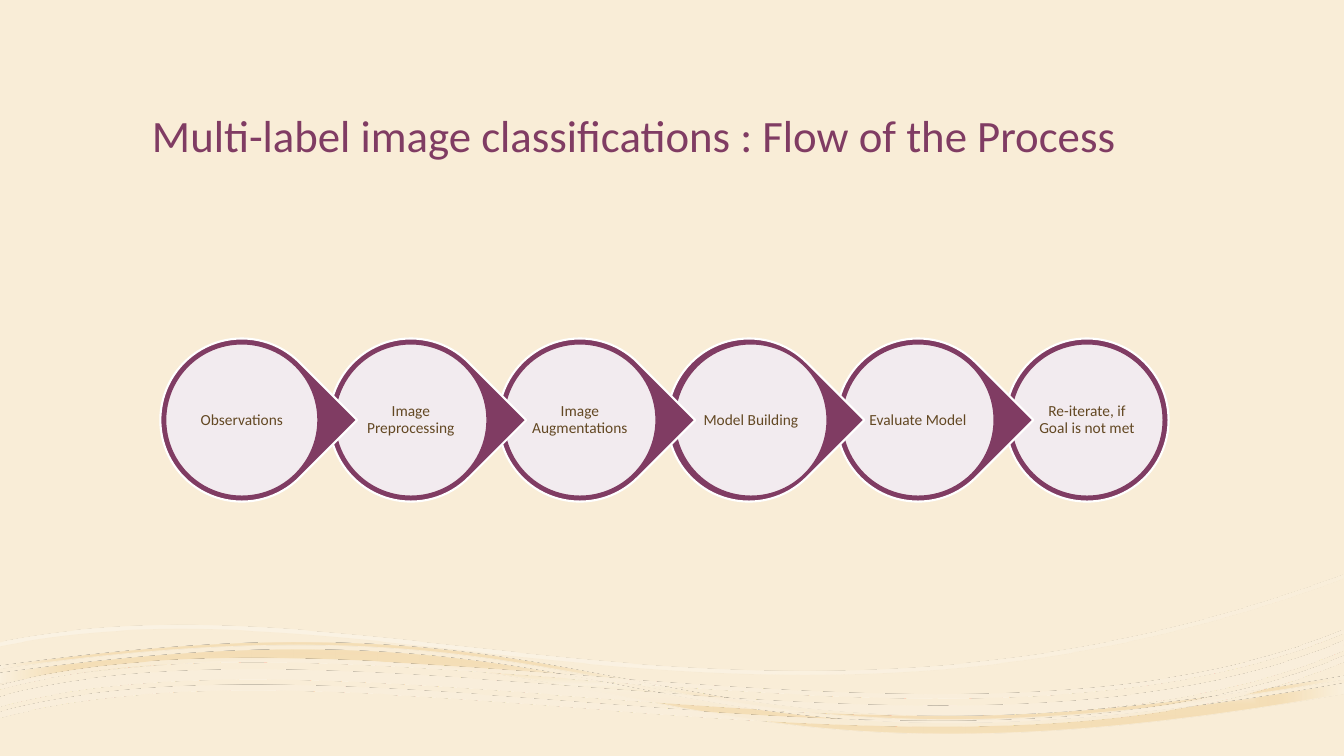
from dataclasses import dataclass
from math import cos, radians, sin

from lxml import etree
from pptx import Presentation
from pptx.dml.color import RGBColor
from pptx.enum.shapes import MSO_SHAPE
from pptx.enum.text import MSO_ANCHOR, MSO_AUTO_SIZE, PP_ALIGN
from pptx.oxml.ns import qn
from pptx.util import Cm, Pt

TEARDROP, ELLIPSE = MSO_SHAPE.TEAR, MSO_SHAPE.OVAL
LEFT, CENTER = PP_ALIGN.LEFT, PP_ALIGN.CENTER
MIDDLE, BOTTOM = MSO_ANCHOR.MIDDLE, MSO_ANCHOR.BOTTOM
NO_AUTOFIT = MSO_AUTO_SIZE.NONE

CREAM = RGBColor(0xF9, 0xED, 0xD7)
PALE_CREAM = RGBColor(0xFA, 0xF1, 0xDF)
LIGHT_CREAM = RGBColor(0xFA, 0xEF, 0xDC)
SAND = RGBColor(0xF4, 0xDE, 0xB7)
DEEP_SAND = RGBColor(0xF4, 0xDD, 0xB3)
WHITE = RGBColor(0xFF, 0xFF, 0xFF)
PLUM = RGBColor(0x80, 0x3C, 0x63)
BROWN = RGBColor(0x63, 0x48, 0x23)

# Lengths in centimetres
FIRST_LEFT, STEP_TOP, PITCH = 4.04, 8.53, 4.26
RING_SIZE, DISC_SIZE, LABEL_SIZE = 4.11, 3.84, 2.74
WAVE_TILT = 3.5

Point = tuple[float, float]


@dataclass(frozen=True)
class Step:
    label: str
    shift: float = 0


@dataclass(frozen=True)
class Stop:
    position: int
    color: RGBColor
    opacity: int = 100


@dataclass(frozen=True)
class Wave:
    """Bands between two Bezier edges, each band given by its vertical shifts."""
    box: tuple[float, float, float, float]
    upper: tuple[Point, ...]
    lower: tuple[Point, ...]
    bands: tuple[tuple[float, float], ...]
    stops: tuple[Stop, ...]
    direction: str


STEPS = (
    Step("Observations"),
    Step("Image Preprocessing"),
    Step("Image Augmentations"),
    Step("Model Building", 0.05),
    Step("Evaluate Model"),
    Step("Re-iterate, if Goal is not met"),
)

HIGH_EDGE = ((0, 16.18), (9.47, 14.2), (19.15, 19.91), (33.86, 14.48))
LOW_EDGE = ((0, 17.55), (8.86, 15.14), (24.26, 20.17), (33.86, 16.15))

WAVES = (
    Wave(
        (0.03, 15.54, 33.81, 3.43),
        ((0, 16.97), (3.15, 16.54), (5.64, 16.36), (7.77, 16.38),
         (17.02, 16.43), (18.75, 19.86), (33.86, 17.22)),
        ((0, 17.22), (16.94, 14.81), (15.29, 20.73), (33.86, 17.48)),
        ((0, 0), (-0.18, -0.36)),
        (Stop(0, PALE_CREAM, 90), Stop(18, SAND), Stop(37, DEEP_SAND, 90),
         Stop(100, PALE_CREAM)),
        '<a:path path="shape"><a:fillToRect l="50000" t="50000" r="50000" b="50000"/></a:path>',
    ),
    Wave(
        (0.08, 14.94, 33.91, 4.34), HIGH_EDGE, HIGH_EDGE, ((0, 0.1),),
        (Stop(36, WHITE, 30), Stop(100, CREAM, 48)),
        '<a:lin ang="2700000" scaled="0"/>',
    ),
    Wave(
        (-0.03, 15.88, 33.93, 2.92), LOW_EDGE, LOW_EDGE,
        ((0.38, 0.53), (0, 0.25), (-0.28, -0.18)),
        (Stop(36, WHITE, 47), Stop(100, LIGHT_CREAM, 82)),
        '<a:path path="rect"><a:fillToRect l="100000" t="100000"/></a:path>',
    ),
)


def level_edge(wave: Wave, edge: tuple[Point, ...], shift: float) -> list[Point]:
    """Edge points moved down by shift and turned into the untilted frame of the wave."""
    left, top, width, height = wave.box
    center_x, center_y = left + width / 2, top + height / 2
    cosine, sine = cos(radians(WAVE_TILT)), sin(radians(WAVE_TILT))
    points = []
    for x, y in edge:
        dx, dy = x - center_x, y + shift - center_y
        points.append((Cm(center_x + dx * cosine - dy * sine),
                       Cm(center_y + dx * sine + dy * cosine)))
    return points


def bend_outline(ribbon, wave: Wave) -> None:
    """Fit the ribbon to its box and join its points by Bezier curves."""
    left, top, width, height = (Cm(length) for length in wave.box)
    outline = ribbon.element.spPr.find(f".//{qn('a:path')}")
    for point in outline.iter(qn("a:pt")):
        point.set("x", str(int(point.get("x")) + ribbon.left - left))
        point.set("y", str(int(point.get("y")) + ribbon.top - top))
    outline.set("w", str(width))
    outline.set("h", str(height))
    ribbon.left, ribbon.top, ribbon.width, ribbon.height = left, top, width, height
    ribbon.rotation = 360 - WAVE_TILT

    lines = outline.findall(qn("a:lnTo"))
    band_length = len(wave.upper) + len(wave.lower) - 1
    straight = len(wave.upper) - 1
    curved = [line for i, line in enumerate(lines) if i % band_length != straight]
    for first in range(0, len(curved), 3):
        curve = outline.makeelement(qn("a:cubicBezTo"))
        curved[first].addprevious(curve)
        for line in curved[first:first + 3]:
            curve.append(line[0])
            outline.remove(line)


def fill_gradient(shape, stops: tuple[Stop, ...], direction: str) -> None:
    stop_xml = "".join(
        f'<a:gs pos="{stop.position * 1000}"><a:srgbClr val="{stop.color}">'
        f'<a:alpha val="{stop.opacity * 1000}"/></a:srgbClr></a:gs>'
        for stop in stops
    )
    gradient = etree.fromstring(
        '<a:gradFill xmlns:a="http://schemas.openxmlformats.org/drawingml/2006/main" '
        f'rotWithShape="1"><a:gsLst>{stop_xml}</a:gsLst>{direction}</a:gradFill>'
    )
    shape.element.spPr.find(qn("a:custGeom")).addnext(gradient)


def add_wave(slide, wave: Wave) -> None:
    builder = None
    for upper_shift, lower_shift in wave.bands:
        outline = level_edge(wave, wave.upper, upper_shift)
        outline += reversed(level_edge(wave, wave.lower, lower_shift))
        if builder is None:
            builder = slide.shapes.build_freeform(*outline[0])
        else:
            builder.move_to(*outline[0])
        builder.add_line_segments(outline[1:], close=True)
    ribbon = builder.convert_to_shape()
    bend_outline(ribbon, wave)
    ribbon.shadow.inherit = False
    ribbon.line.fill.background()
    fill_gradient(ribbon, wave.stops, wave.direction)


def add_round(slide, preset, left: float, top: float, size: float,
              fill: RGBColor, outline: RGBColor, width: float):
    shape = slide.shapes.add_shape(preset, Cm(left), Cm(top), Cm(size), Cm(size))
    shape.shadow.inherit = False
    shape.fill.solid()
    shape.fill.fore_color.rgb = fill
    shape.line.color.rgb = outline
    shape.line.width = Pt(width)
    return shape


def write_text(frame, text: str, size: int, color: RGBColor, align, anchor,
               side_margin: float, end_margin: float) -> None:
    frame.text = text
    paragraph = frame.paragraphs[0]
    font = paragraph.runs[0].font
    formats = (
        (frame, {"word_wrap": True, "auto_size": NO_AUTOFIT, "vertical_anchor": anchor,
                 "margin_left": Cm(side_margin), "margin_right": Cm(side_margin),
                 "margin_top": Cm(end_margin), "margin_bottom": Cm(end_margin)}),
        (paragraph, {"alignment": align, "line_spacing": 0.9}),
        (font, {"name": "Calibri", "size": Pt(size)}),
        (font.color, {"rgb": color}),
    )
    for target, values in formats:
        for name, value in values.items():
            setattr(target, name, value)


def add_step(slide, step: Step, position: int) -> None:
    left = FIRST_LEFT + position * PITCH
    is_last = position == len(STEPS) - 1
    ring = add_round(slide, ELLIPSE if is_last else TEARDROP, left, STEP_TOP,
                     RING_SIZE, PLUM, WHITE, 1.5)
    ring.rotation = 0 if is_last else 45
    inset = (RING_SIZE - DISC_SIZE) / 2
    disc = add_round(slide, ELLIPSE, left + inset + step.shift, STEP_TOP + inset,
                     DISC_SIZE, WHITE, PLUM, 1)
    disc_color = disc.element.spPr.find(qn("a:solidFill"))[0]
    etree.SubElement(disc_color, qn("a:alpha"), val="90000")
    inset = (RING_SIZE - LABEL_SIZE) / 2
    label = slide.shapes.add_textbox(Cm(left + inset + step.shift), Cm(STEP_TOP + inset),
                                     Cm(LABEL_SIZE), Cm(LABEL_SIZE))
    write_text(label.text_frame, step.label, 11, BROWN, CENTER, MIDDLE, 0.05, 0.05)


def main() -> None:
    deck = Presentation()
    deck.slide_width, deck.slide_height = Cm(33.87), Cm(19.05)
    slide = deck.slides.add_slide(deck.slide_layouts[5])
    slide.background.fill.solid()
    slide.background.fill.fore_color.rgb = CREAM
    for wave in WAVES:
        add_wave(slide, wave)
    title = slide.shapes.title
    title.left, title.top, title.width, title.height = Cm(3.58), Cm(0.85), Cm(26.67), Cm(3.38)
    write_text(title.text_frame, "Multi-label image classifications : Flow of the Process",
               32, PLUM, LEFT, BOTTOM, 0.25, 0.13)
    for position, step in reversed(list(enumerate(STEPS))):
        add_step(slide, step, position)
    deck.save("out.pptx")


if __name__ == "__main__":
    main()
